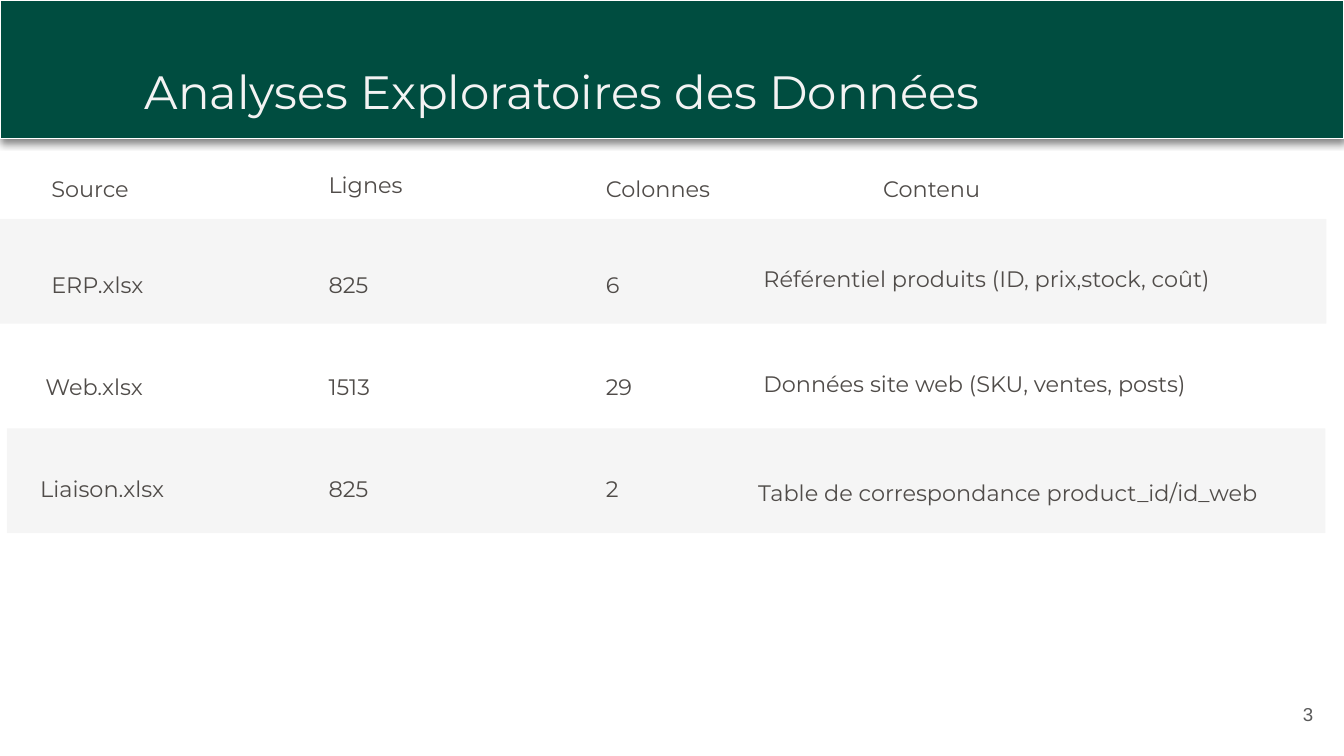
from dataclasses import dataclass

from lxml.etree import SubElement
from pptx import Presentation
from pptx.dml.color import RGBColor
from pptx.enum.shapes import MSO_SHAPE
from pptx.enum.text import MSO_ANCHOR, MSO_AUTO_SIZE, PP_ALIGN
from pptx.oxml import parse_xml
from pptx.oxml.ns import nsdecls, qn
from pptx.util import Cm, Pt


@dataclass(frozen=True)
class Theme:
    green: str = "004D40"
    white: str = "FFFFFF"
    title: str = "F3F3F3"
    text: str = "504C49"
    number: str = "595959"
    band: str = "000000"
    band_alpha: int = 4
    font: str = "Montserrat"
    number_font: str = "Arial"
    title_size: int = 25
    text_size: int = 12
    number_size: int = 10
    leading: float = 28.5


THEME = Theme()

# Content
TITLE = "Analyses Exploratoires des Données"
PAGE_NUMBER = "3"
ROWS = [
    ("Source", "Lignes", "Colonnes", "Contenu"),
    ("ERP.xlsx", "825", "6", "Référentiel produits (ID, prix,stock, coût)"),
    ("Web.xlsx", "1513", "29", "Données site web (SKU, ventes, posts)"),
    ("Liaison.xlsx", "825", "2", "Table de correspondance product_id/id_web"),
]

# Layout in centimetres
SLIDE_WIDTH, SLIDE_HEIGHT = 25.4, 14.29
BANNER_HEIGHT = 2.62
COLUMN_LEFT, COLUMN_STEP = 0.97, 5.24
CELL_WIDTH, CELL_HEIGHT = 3.96, 1.02
CONTENT_LEFT, CONTENT_WIDTH = 14.43, 10.52
ROW_TOPS = [2.82, 4.62, 6.55, 8.48]
BANDS = [(0, 4.14, 25.07, 1.98), (0.13, 8.1, 24.92, 1.98)]
# Small shifts of single cells: (row, column) -> (right, down)
SHIFTS = {
    (0, 1): (0, -0.08), (1, 3): (0, -0.1),
    (2, 0): (-0.11, 0), (2, 3): (0, -0.05),
    (3, 0): (-0.21, 0), (3, 3): (-0.1, 0.08),
}


def place(box, left, top, width, height):
    box.left, box.top = Cm(left), Cm(top)
    box.width, box.height = Cm(width), Cm(height)


def write(box, text, *, size=THEME.text_size, color=THEME.text, font=THEME.font,
          align=PP_ALIGN.LEFT, anchor=MSO_ANCHOR.TOP, margin=0.0, wrap=True, leading=None):
    frame = box.text_frame
    frame.auto_size = MSO_AUTO_SIZE.NONE
    frame.word_wrap = wrap
    frame.vertical_anchor = anchor
    frame.margin_left = frame.margin_right = Cm(margin)
    frame.margin_top = frame.margin_bottom = Cm(margin)
    para = frame.paragraphs[0]
    para.alignment = align
    if leading:
        para.line_spacing = Pt(leading)
    span = para.add_run()
    span.text = text
    span.font.name, span.font.size = font, Pt(size)
    span.font.color.rgb = RGBColor.from_string(color)


def add_rectangle(page, area, color):
    box = page.shapes.add_shape(MSO_SHAPE.RECTANGLE, *map(Cm, area))
    box.shadow.inherit = False
    box.fill.solid()
    box.fill.fore_color.rgb = RGBColor.from_string(color)
    box.line.fill.background()
    return box


def add_text(page, area, text, **style):
    write(page.shapes.add_textbox(*map(Cm, area)), text, **style)


def add_banner(page):
    banner = add_rectangle(page, (0, 0, SLIDE_WIDTH, BANNER_HEIGHT), THEME.green)
    banner.line.color.rgb = RGBColor.from_string(THEME.white)
    banner.line.width = Pt(0.75)
    effects = banner.element.spPr.find(qn("a:effectLst"))
    effects.append(parse_xml(
        f'<a:outerShdw {nsdecls("a")} blurRad="{Pt(4.5)}" dist="{Pt(1.5)}" dir="5400000" '
        'algn="bl" rotWithShape="0"><a:srgbClr val="000000"><a:alpha val="50000"/>'
        '</a:srgbClr></a:outerShdw>'))
    # The banner lies behind the title
    page.shapes.title.element.addprevious(banner.element)


def add_band(page, area):
    band = add_rectangle(page, area, THEME.band)
    color = band.element.spPr.find(f"{qn('a:solidFill')}/{qn('a:srgbClr')}")
    SubElement(color, qn("a:alpha"), val=str(THEME.band_alpha * 1000))


def add_cells(page):
    for row, texts in enumerate(ROWS):
        for column, text in enumerate(texts):
            right, down = SHIFTS.get((row, column), (0, 0))
            left, width = COLUMN_LEFT + column * COLUMN_STEP, CELL_WIDTH
            is_content = row > 0 and column == 3
            if is_content:
                left, width = CONTENT_LEFT, CONTENT_WIDTH
            area = (left + right, ROW_TOPS[row] + down, width, CELL_HEIGHT)
            add_text(page, area, text, wrap=is_content, leading=THEME.leading)


def main():
    deck = Presentation()
    deck.slide_width, deck.slide_height = Cm(SLIDE_WIDTH), Cm(SLIDE_HEIGHT)
    page = deck.slides.add_slide(deck.slide_layouts[5])

    # Heading
    add_banner(page)
    place(page.shapes.title, 2.49, 0.94, 22.91, 1.6)
    write(page.shapes.title, TITLE, size=THEME.title_size, color=THEME.title, margin=0.25)

    # Data sources
    for area in BANDS:
        add_band(page, area)
    add_cells(page)

    # Page number
    add_text(page, (23.55, 12.95, 1.52, 1.09), PAGE_NUMBER, size=THEME.number_size,
             color=THEME.number, font=THEME.number_font, align=PP_ALIGN.RIGHT,
             anchor=MSO_ANCHOR.MIDDLE, margin=0.25)
    deck.save("out.pptx")


if __name__ == "__main__":
    main()
